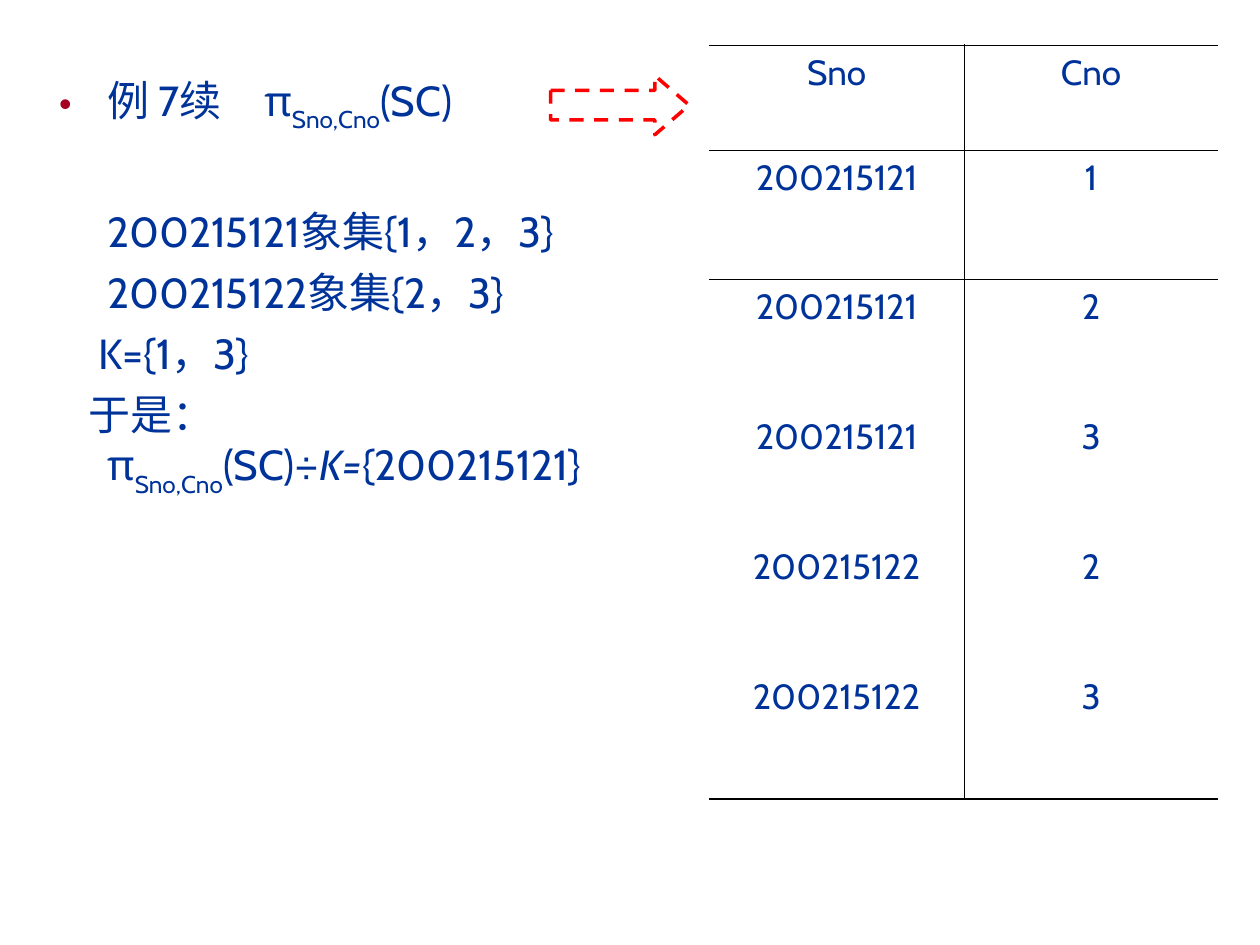
from lxml import etree
from pptx import Presentation
from pptx import util as u
from pptx.dml.color import RGBColor
from pptx.enum import dml, shapes, text
from pptx.oxml.ns import qn

FONT = "Cabin"
NAVY, RED, CRIMSON, BLACK = "003399", "FF0000", "A50021", "000000"
THICK, THIN = 1.08, 0.45
PLAIN_TABLE = "{2D5ABB26-0587-4C30-8999-92F81FD0307C}"
PROJECTION = [("π", ""), ("Sno,Cno", "sub")]
ROWS = [
    ("Sno", "Cno"),
    ("200215121", "1"),
    ("200215121", "2"),
    ("200215121", "3"),
    ("200215122", "2"),
    ("200215122", "3"),
]


def color(value):
    return RGBColor.from_string(value)


def child(parent, tag, **attributes):
    return etree.SubElement(parent, qn(tag), attributes)


def style_font(font, size):
    font.name = FONT
    font.size = u.Pt(size)
    font.color.rgb = color(NAVY)


def set_bullet(para, shown):
    properties = para._p.get_or_add_pPr()
    if shown:
        child(child(properties, "a:buClr"), "a:srgbClr", val=CRIMSON)
        child(properties, "a:buSzPct", val="85000")
        child(properties, "a:buChar", char="•")
    else:
        child(properties, "a:buNone")


def add_line(para, spans, first_indent, space_before, bullet=False):
    """Fill a paragraph from (text, kind) spans; kind is "", sub, italic, wide or break."""
    properties = para._p.get_or_add_pPr()
    properties.set("marL", str(u.Inches(0.38)))
    properties.set("indent", str(u.Inches(first_indent)))
    para.line_spacing = 1.0
    para.space_before = u.Pt(space_before)
    set_bullet(para, bullet)
    for content, kind in spans:
        if kind == "break":
            para.add_line_break()
            continue
        span = para.add_run()
        span.text = content
        style_font(span.font, 24)
        if kind == "italic":
            span.font.italic = True
        elif kind == "sub":
            span.font._element.set("baseline", "-30000")
        elif kind == "wide":
            span.font._element.set("spc", "1900")


def fill_body(box):
    box.left, box.top = u.Inches(0.27), u.Inches(0.44)
    box.width, box.height = u.Inches(5.43), u.Inches(4.92)
    frame = box.text_frame
    frame.word_wrap = True
    frame.auto_size = text.MSO_AUTO_SIZE.NONE
    frame.vertical_anchor = text.MSO_ANCHOR.TOP
    frame.margin_left = frame.margin_right = u.Inches(0.2)
    frame.margin_top = frame.margin_bottom = u.Inches(0.15)

    heading = [("例 7续", ""), (" ", "wide"), *PROJECTION, ("(SC)", "")]
    add_line(frame.paragraphs[0], heading, -0.38, 0, bullet=True)
    result = [("于是：", ""), ("", "break"), *PROJECTION, ("(SC)÷", ""),
              ("K=", "italic"), ("{200215121}", "")]
    lines = [
        ([("200215121象集{1，2，3}", "")], 0, 41),
        ([("200215122象集{2，3}", "")], 0, 6),
        ([("K={1，3}", "")], -0.07, 6),
        (result, -0.15, 6),
    ]
    for spans, first_indent, space_before in lines:
        add_line(frame.add_paragraph(), spans, first_indent, space_before)


def set_border(cell, side, width):
    line = child(cell._tc.get_or_add_tcPr(), f"a:ln{side}", w=str(u.Pt(width)))
    child(child(line, "a:solidFill"), "a:srgbClr", val=BLACK)


def add_relation(page):
    frame = page.shapes.add_table(len(ROWS), 2, u.Inches(5.63), u.Inches(0.36),
                                  u.Inches(4.04), u.Inches(5.97))
    table = frame.table
    table.first_row = table.horz_banding = False
    table._tbl.tblPr.find(qn("a:tableStyleId")).text = PLAIN_TABLE
    last = len(ROWS) - 1
    for index, values in enumerate(ROWS):
        table.rows[index].height = u.Inches(1.03 if index else 0.83)
        for column, value in enumerate(values):
            cell = table.cell(index, column)
            set_border(cell, "L" if column else "R", THIN)
            if index < 2:
                set_border(cell, "T", THIN if index else THICK)
            if index in (0, last):
                set_border(cell, "B", THICK if index else THIN)
            cell.fill.background()
            cell.text_frame.text = value
            para = cell.text_frame.paragraphs[0]
            para.alignment = text.PP_ALIGN.CENTER
            style_font(para.runs[0].font, 20)


def add_dashed_arrow(page):
    arrow = page.shapes.add_shape(shapes.MSO_SHAPE.RIGHT_ARROW, u.Inches(4.37),
                                  u.Inches(0.6), u.Inches(1.1), u.Inches(0.47))
    arrow.adjustments[0], arrow.adjustments[1] = 0.5, 0.58
    arrow.shadow.inherit = False
    arrow.fill.background()
    arrow.line.color.rgb = color(RED)
    arrow.line.width = u.Pt(2)
    arrow.line.dash_style = dml.MSO_LINE.DASH


def main():
    deck = Presentation()
    deck.slide_width, deck.slide_height = u.Inches(10), u.Inches(7.5)
    page = deck.slides.add_slide(deck.slide_layouts[1])
    title = page.shapes.title._element
    title.getparent().remove(title)
    fill_body(page.placeholders[1])
    add_relation(page)
    add_dashed_arrow(page)
    deck.save("out.pptx")


if __name__ == "__main__":
    main()
